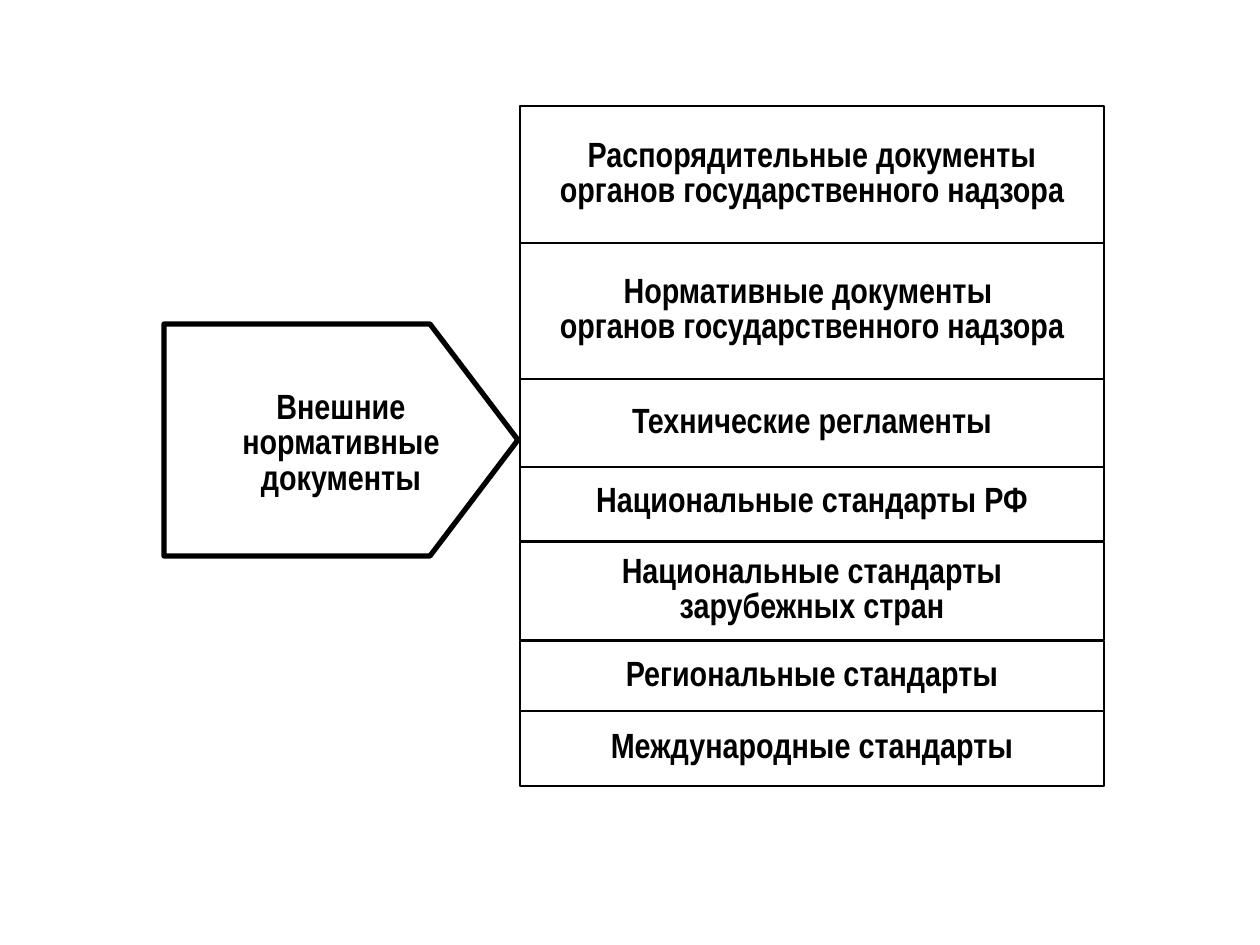
from pptx import Presentation
from pptx.dml.color import RGBColor
from pptx.enum.shapes import MSO_SHAPE
from pptx.enum.text import MSO_ANCHOR, PP_ALIGN
from pptx.util import Pt

PX = 914400 / 126
THEME = {
    "ink": RGBColor(0, 0, 0),
    "paper": RGBColor(255, 255, 255),
    "font": {"name": "Arial Narrow", "size": Pt(20), "bold": True},
    "leading": Pt(20),
    "row_line": Pt(0.75),
    "arrow_line": Pt(3),
}


def px(n):
    return round(n * PX)


def dress(s, lines, line_width, margin_top=6):
    """Style a shape and centre its paragraphs in it."""
    s.shadow.inherit = False
    s.fill.solid()
    s.fill.fore_color.rgb = THEME["paper"]
    s.line.color.rgb = THEME["ink"]
    s.line.width = line_width
    tf = s.text_frame
    frame = {"word_wrap": True, "vertical_anchor": MSO_ANCHOR.MIDDLE,
             "margin_left": px(13), "margin_right": px(13),
             "margin_top": px(margin_top), "margin_bottom": px(6)}
    for key, value in frame.items():
        setattr(tf, key, value)
    for i, line in enumerate(lines):
        p = tf.add_paragraph() if i else tf.paragraphs[0]
        p.alignment = PP_ALIGN.CENTER
        p.line_spacing = THEME["leading"]
        r = p.add_run()
        r.text = line
        r.font.color.rgb = THEME["ink"]
        for key, value in THEME["font"].items():
            setattr(r.font, key, value)


prs = Presentation()
prs.slide_width, prs.slide_height = px(1260), px(945)
slide = prs.slides.add_slide(prs.slide_layouts[6])

# Arrow pointing at the stack of documents
outline = slide.shapes.build_freeform(164, 324, scale=PX)
outline.add_line_segments([(430, 324), (518, 440), (430, 556), (164, 556)], close=True)
dress(outline.convert_to_shape(), ["Внешние нормативные документы"],
      THEME["arrow_line"], margin_top=15)

# Stack of documents: top, height, paragraphs; upper rows overlap lower ones
ROWS = [
    (106, 137, ["Распорядительные документы органов государственного надзора"]),
    (242, 137, ["Нормативные документы ", "органов государственного надзора"]),
    (379, 88, ["Технические регламенты"]),
    (462, 79, ["Национальные стандарты РФ"]),
    (542, 98, ["Национальные стандарты зарубежных стран"]),
    (641, 70, ["Региональные стандарты"]),
    (711, 75, ["Международные стандарты"]),
]
for top, height, lines in reversed(ROWS):
    row = slide.shapes.add_shape(MSO_SHAPE.RECTANGLE, px(520), px(top), px(584), px(height))
    dress(row, lines, THEME["row_line"])

prs.save("out.pptx")
